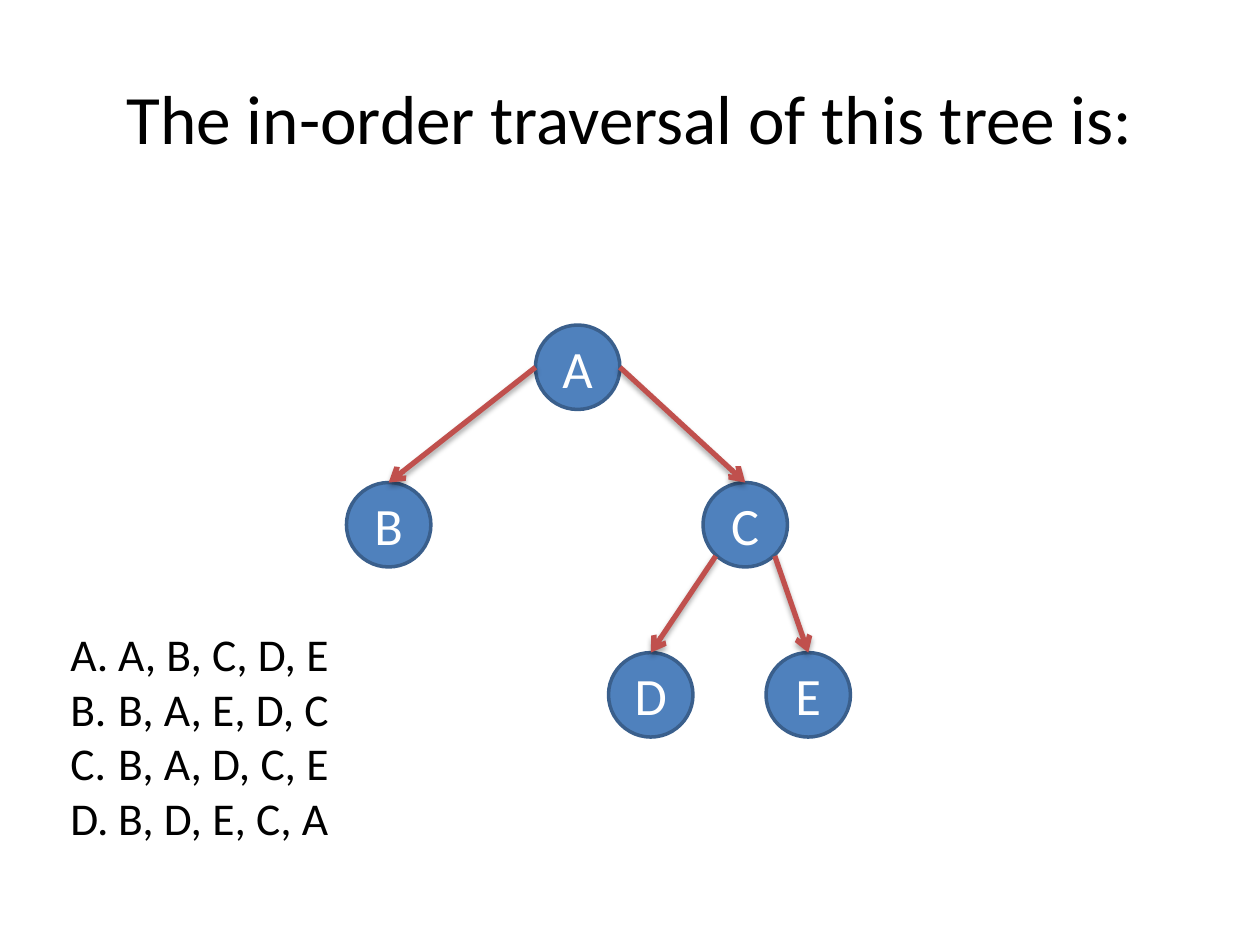
from lxml import etree
from pptx import Presentation
from pptx.dml.color import RGBColor
from pptx.enum.shapes import MSO_CONNECTOR, MSO_SHAPE
from pptx.enum.text import MSO_ANCHOR, PP_ALIGN
from pptx.oxml import parse_xml
from pptx.util import Inches, Pt

OVAL = MSO_SHAPE.OVAL
STRAIGHT = MSO_CONNECTOR.STRAIGHT
MIDDLE = MSO_ANCHOR.MIDDLE
CENTER = PP_ALIGN.CENTER
NS = "http://schemas.openxmlformats.org/drawingml/2006/main"
COLORS = {"text": "000000", "node": "4F81BD", "outline": "3A5F8C",
          "letter": "FFFFFF", "edge": "C0504D"}
SHADOW = (f'<a:effectLst xmlns:a="{NS}"><a:outerShdw blurRad="40000" dist="23000" '
          'dir="5400000" rotWithShape="0"><a:srgbClr val="000000">'
          '<a:alpha val="35000"/></a:srgbClr></a:outerShdw></a:effectLst>')


def color(name):
    return RGBColor.from_string(COLORS[name])


def style(paragraph, size, color_name):
    for run in paragraph.runs:
        run.font.name = "Calibri"
        run.font.size = Pt(size)
        run.font.color.rgb = color(color_name)


prs = Presentation()
prs.slide_width, prs.slide_height = Inches(10), Inches(7.5)
slide = prs.slides.add_slide(prs.slide_layouts[5])

# Question
question = slide.shapes.title
question.left, question.top = Inches(0.5), Inches(0.3)
question.width, question.height = Inches(9), Inches(1.25)
question.text_frame.text = "The in-order traversal of this tree is:"
question.text_frame.vertical_anchor = MIDDLE
question.text_frame.paragraphs[0].alignment = CENTER
style(question.text_frame.paragraphs[0], 39.6, "text")

# Tree nodes: left and top of each circle
DIAMETER = 0.67
nodes = {"A": (4.25, 2.58), "B": (2.75, 3.83), "C": (5.58, 3.83),
         "D": (4.83, 5.18), "E": (6.08, 5.18)}
for letter, (left, top) in nodes.items():
    node = slide.shapes.add_shape(OVAL, Inches(left), Inches(top),
                                  Inches(DIAMETER), Inches(DIAMETER))
    node.shadow.inherit = False
    node.fill.solid()
    node.fill.fore_color.rgb = color("node")
    node.line.color.rgb = color("outline")
    node.line.width = Pt(2)
    frame = node.text_frame
    frame.margin_left = frame.margin_right = 0
    frame.margin_top = frame.margin_bottom = 0
    frame.vertical_anchor = MIDDLE
    frame.text = letter
    frame.paragraphs[0].alignment = CENTER
    style(frame.paragraphs[0], 30, "letter")

# Edges: start point as a share of the parent's diameter, end at the child's top
edges = [("A", "B", 0, 0.5), ("A", "C", 1, 0.5),
         ("C", "D", 0.15, 0.87), ("C", "E", 0.85, 0.87)]
for parent, child, across, down in edges:
    parent_left, parent_top = nodes[parent]
    child_left, child_top = nodes[child]
    edge = slide.shapes.add_connector(
        STRAIGHT,
        Inches(parent_left + across * DIAMETER), Inches(parent_top + down * DIAMETER),
        Inches(child_left + DIAMETER / 2), Inches(child_top))
    edge.line.color.rgb = color("edge")
    edge.line.width = Pt(3)
    etree.SubElement(edge.line._get_or_add_ln(), f"{{{NS}}}tailEnd", type="arrow")
    edge._element.spPr.append(parse_xml(SHADOW))

# Answer choices, lettered automatically
answers = ["A, B, C, D, E", "B, A, E, D, C", "B, A, D, C, E", "B, D, E, C, A"]
choices = slide.shapes.add_textbox(Inches(0.46), Inches(4.92), Inches(2.27), Inches(2.29))
choices.text_frame.word_wrap = False
choices.text_frame.text = "\n".join(answers)
for choice in choices.text_frame.paragraphs:
    style(choice, 26, "text")
    properties = choice._p.get_or_add_pPr()
    properties.set("marL", str(Inches(0.38)))
    properties.set("indent", str(-Inches(0.38)))
    etree.SubElement(properties, f"{{{NS}}}buFont", typeface="+mj-lt")
    etree.SubElement(properties, f"{{{NS}}}buAutoNum", type="alphaUcPeriod")

prs.save("out.pptx")
